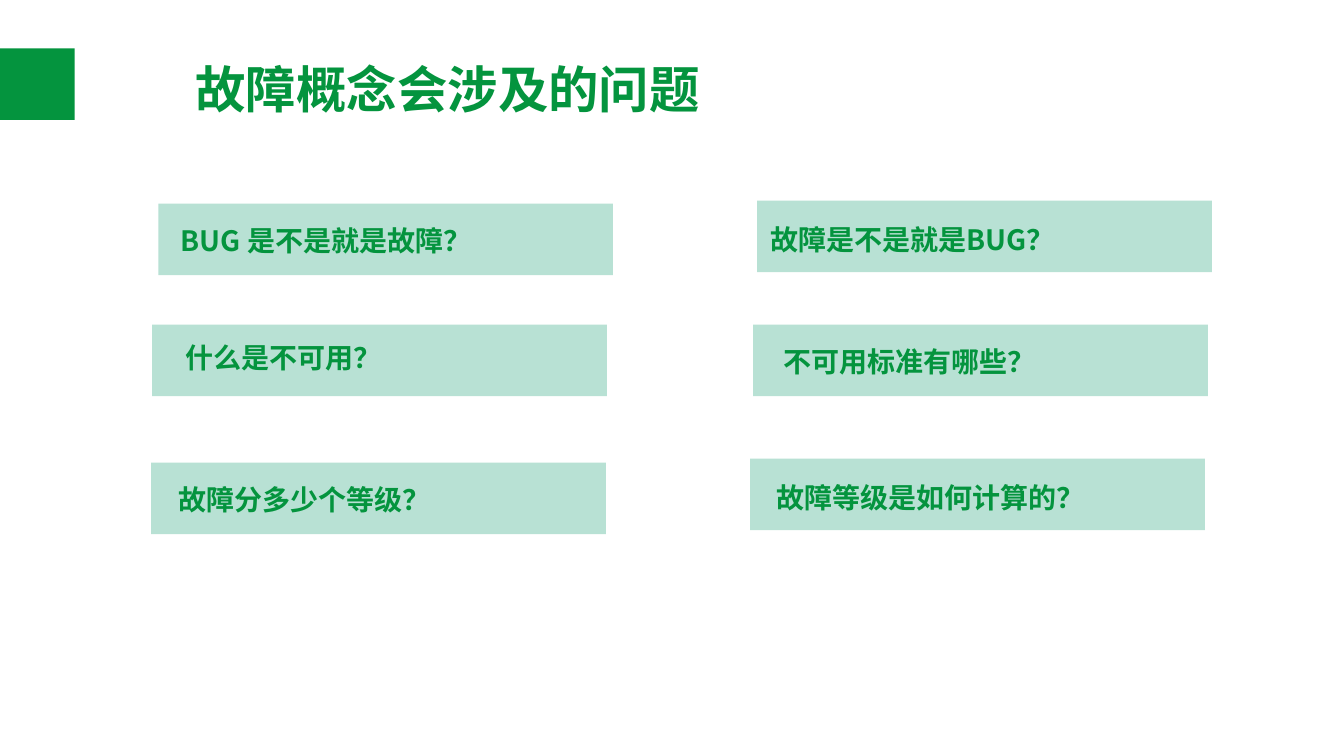
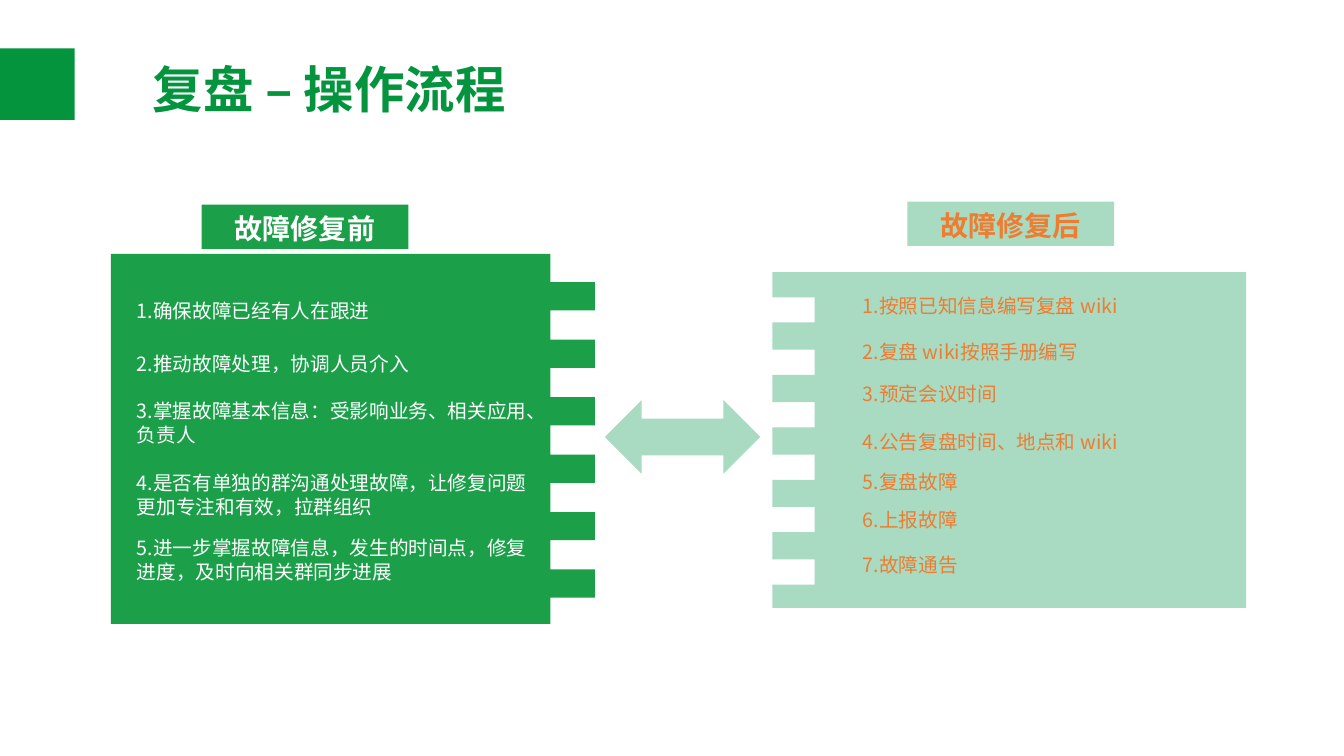
from pptx import Presentation
from pptx.dml.color import RGBColor
from pptx.enum import shapes as kinds, text as txt
from pptx.util import Pt

PX = 9144  # EMU in one px, 100 px to the inch
FONT = "Noto Sans CJK SC"
COLORS = {"brand": "04943E", "mint": "B8E1D4", "leaf": "1B9F49",
          "pale": "A9DAC2", "orange": "ED7D31", "white": "FFFFFF"}
LEFT, CENTER = txt.PP_ALIGN.LEFT, txt.PP_ALIGN.CENTER
RECT = kinds.MSO_SHAPE.RECTANGLE
ARROW = kinds.MSO_SHAPE.LEFT_RIGHT_ARROW

# Content: text, left, top, text indent, text drop
ISSUES = [
    ("BUG 是不是就是故障？", 157, 202, 22, 19),
    ("故障是不是就是BUG？", 751, 199, 13, 21),
    ("什么是不可用？", 151, 322, 33, 15),
    ("不可用标准有哪些？", 747, 322, 30, 19),
    ("故障分多少个等级？", 150, 459, 27, 19),
    ("故障等级是如何计算的？", 744, 455, 26, 21),
]
PHASES = [
    {"head": "故障修复前", "at": (200, 203), "fill": "leaf", "ink": "white",
     "comb": {"far": 110, "top": 252, "end": 619, "edge": 546, "tip": 590,
              "first": 280, "pitch": 57, "deep": 28},
     "left": 126, "wide": 412,
     "steps": [
         (290, "1.确保故障已经有人在跟进"),
         (343, "2.推动故障处理，协调人员介入"),
         (389, "3.掌握故障基本信息：受影响业务、相关应用、负责人"),
         (461, "4.是否有单独的群沟通处理故障，让修复问题更加专注和有效，拉群组织"),
         (525, "5.进一步掌握故障信息，发生的时间点，修复进度，及时向相关群同步进展")]},
    {"head": "故障修复后", "at": (900, 200), "fill": "pale", "ink": "orange",
     "comb": {"far": 1236, "top": 270, "end": 603, "edge": 766, "tip": 808,
              "first": 295, "pitch": 52, "deep": 25},
     "left": 846, "wide": 350,
     "steps": [
         (285, "1.按照已知信息编写复盘 wiki"),
         (331, "2.复盘 wiki按照手册编写"),
         (373, "3.预定会议时间"),
         (420, "4.公告复盘时间、地点和 wiki"),
         (460, "5.复盘故障"),
         (498, "6.上报故障"),
         (542, "7.故障通告")]},
]
TEETH = 6


def px(*sizes):
    return [size * PX for size in sizes]


def paint(shape, fill):
    shape.shadow.inherit = False
    shape.fill.solid()
    shape.fill.fore_color.rgb = RGBColor.from_string(COLORS[fill])
    shape.line.fill.background()
    return shape


def block(slide, box, fill, kind=RECT):
    return paint(slide.shapes.add_shape(kind, *px(*box)), fill)


def write(shape, words, size, ink, bold=False, align=LEFT, indent=10, drop=None):
    frame = shape.text_frame
    frame.text = words
    frame.word_wrap = True
    frame.auto_size = txt.MSO_AUTO_SIZE.NONE
    frame.vertical_anchor = txt.MSO_ANCHOR.TOP
    if drop is None:
        drop = 4 + size // 7
    frame.margin_left, frame.margin_right = px(indent, 10)
    frame.margin_top, frame.margin_bottom = px(drop, 0)
    para = frame.paragraphs[0]
    para.alignment = align
    para.line_spacing = Pt(round(size * 1.22, 1))
    para.space_before = Pt(0)
    font = para.font
    font.name, font.size, font.bold = FONT, Pt(size), bold
    font.color.rgb = RGBColor.from_string(COLORS[ink])


def page(deck, title, wide):
    """Add a slide with the shared title and side band."""
    slide = deck.slides.add_slide(deck.slide_layouts[5])
    head = slide.shapes.title
    head.left, head.top, head.width, head.height = px(1, 48, wide, 71)
    write(head, title, 36, "brand", True, CENTER)
    block(slide, (0, 48, 74, 71), "brand")
    return slide


def comb(slide, fill, far, top, end, edge, tip, first, pitch, deep):
    """Draw a panel whose inner side is cut into even teeth."""
    points = [(edge, top)]
    for row in range(TEETH):
        y = first + row * pitch
        points += [(edge, y), (tip, y), (tip, y + deep), (edge, y + deep)]
    points += [(edge, end), (far, end)]
    path = slide.shapes.build_freeform(far, top, scale=PX)
    path.add_line_segments(points, close=True)
    paint(path.convert_to_shape(), fill)


def main():
    deck = Presentation()
    deck.slide_width, deck.slide_height = px(1333, 750)

    # Questions
    slide = page(deck, "故障概念会涉及的问题", 886)
    for words, x, y, indent, drop in ISSUES:
        card = block(slide, (x, y, 451, 71), "mint")
        write(card, words, 20, "brand", True, indent=indent, drop=drop)

    # Review process
    slide = page(deck, "复盘 – 操作流程", 651)
    block(slide, (600, 397, 154, 73), "pale", ARROW)
    for phase in PHASES:
        comb(slide, phase["fill"], **phase["comb"])
        label = block(slide, (*phase["at"], 205, 44), phase["fill"])
        write(label, phase["head"], 20, phase["ink"], True, CENTER)
        for y, words in phase["steps"]:
            high = 66 if len(words) > 20 else 34
            step = slide.shapes.add_textbox(
                *px(phase["left"], y, phase["wide"], high))
            write(step, words, 14, phase["ink"])

    deck.save("out.pptx")


if __name__ == "__main__":
    main()
